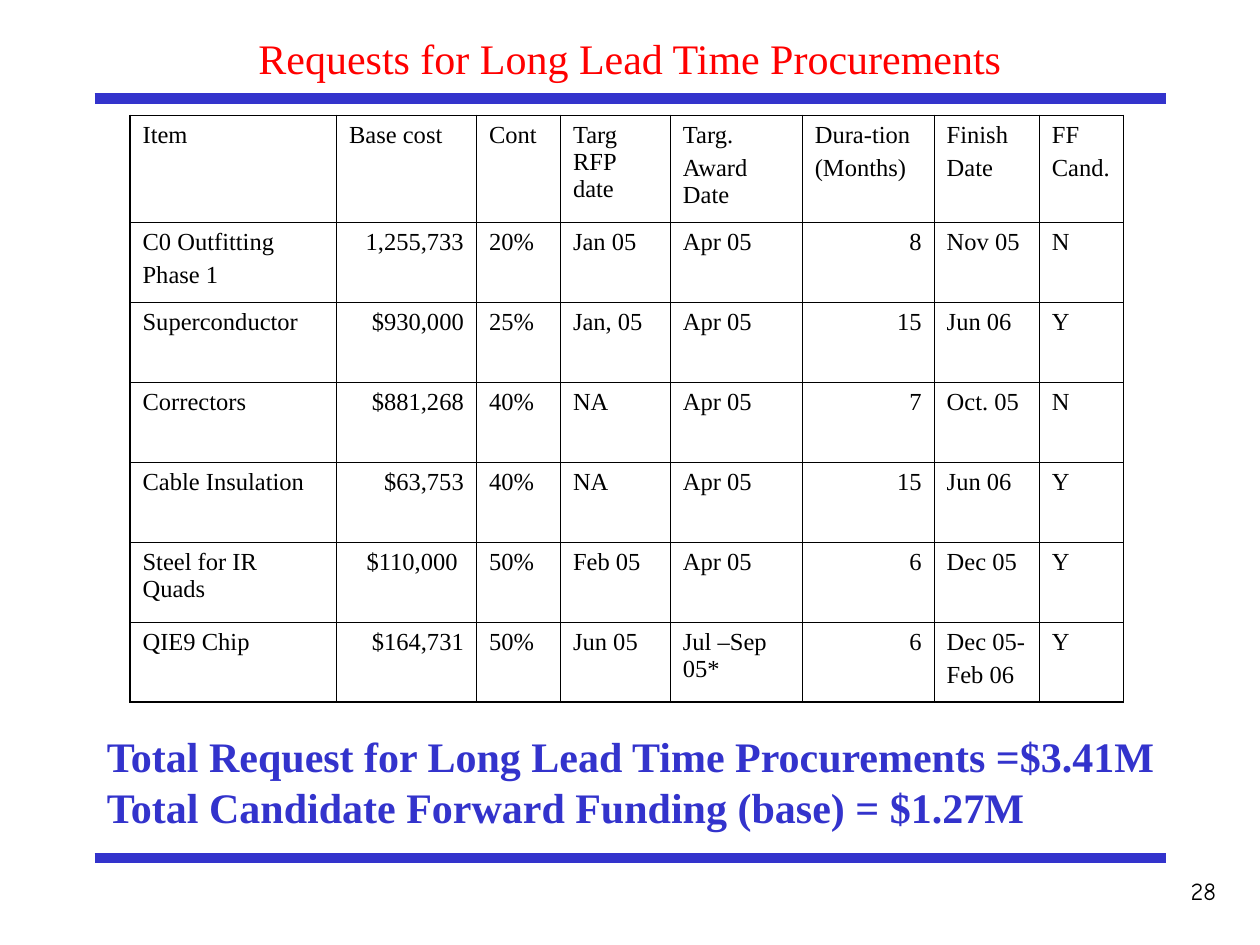
from lxml import etree
from pptx import Presentation
from pptx.dml.color import RGBColor
from pptx.enum import shapes, text
from pptx.oxml import ns
from pptx.util import Pt

COLORS = {"title": "FF0000", "accent": "3333CC", "ink": "000000"}
SERIF = "Times New Roman"
TITLE = "Requests for Long Lead Time Procurements"
HEADER = ["Item", "Base cost", "Cont", "Targ RFP date", "Targ.\nAward Date",
          "Dura-tion\n(Months)", "Finish\nDate", "FF\nCand."]
ITEMS = [
    ["C0 Outfitting\nPhase 1", "1,255,733", "20%", "Jan 05", "Apr 05", "8", "Nov 05", "N"],
    ["Superconductor", "$930,000", "25%", "Jan, 05", "Apr 05", "15", "Jun 06", "Y"],
    ["Correctors", "$881,268", "40%", "NA", "Apr 05", "7", "Oct. 05", "N"],
    ["Cable Insulation", "$63,753", "40%", "NA", "Apr 05", "15", "Jun 06", "Y"],
    ["Steel for IR Quads", "$110,000 ", "50%", "Feb 05", "Apr 05", "6", "Dec 05", "Y"],
    ["QIE9 Chip", "$164,731", "50%", "Jun 05", "Jul –Sep 05*", "6", "Dec 05-\nFeb 06", "Y"],
]
TOTALS = ("Total Request for Long Lead Time Procurements =$3.41M\n"
          "Total Candidate Forward Funding (base) = $1.27M")
PAGE_NUMBER = "28"

COLUMN_WIDTHS = [118, 80, 48, 62.8, 75.4, 75.4, 60.1, 48.1]
HEADER_HEIGHT, ITEM_HEIGHT = 61.1, 45.7
TABLE_LEFT, TABLE_TOP = 74.3, 66
NUMERIC_COLUMNS = (1, 5)
RULE_LEFT, RULE_RIGHT = 54, 666
RULE_TOPS = (56.2, 490.3)
OUTER_LINE, INNER_LINE = 1.08, 0.45

FORMATS = {
    "title": {"size": Pt(24), "name": SERIF, "color": "title", "bold": False},
    "cell": {"size": Pt(14), "name": SERIF, "color": "ink", "bold": False},
    "totals": {"size": Pt(24), "name": SERIF, "color": "accent", "bold": True},
    "number": {"size": Pt(14), "name": "Comic Neue", "color": "ink", "bold": False},
}


def write(frame, content, style, align=text.PP_ALIGN.LEFT, gap=0):
    frame.text = content
    for index, paragraph in enumerate(frame.paragraphs):
        paragraph.alignment = align
        paragraph.space_before = Pt(gap if index else 0)
        for run in paragraph.runs:
            for name, value in FORMATS[style].items():
                if name == "color":
                    run.font.color.rgb = RGBColor.from_string(COLORS[value])
                else:
                    setattr(run.font, name, value)


def add_border(cell, side, width):
    properties = cell._tc.get_or_add_tcPr()
    line = etree.SubElement(properties, ns.qn(f"a:ln{side}"), w=str(Pt(width)))
    fill = etree.SubElement(line, ns.qn("a:solidFill"))
    etree.SubElement(fill, ns.qn("a:srgbClr"), val=COLORS["ink"])


def add_rule(slide, top):
    rule = slide.shapes.add_connector(shapes.MSO_CONNECTOR.STRAIGHT,
                                      Pt(RULE_LEFT), Pt(top), Pt(RULE_RIGHT), Pt(top))
    rule.line.width = Pt(6)
    rule.line.color.rgb = RGBColor.from_string(COLORS["accent"])
    etree.SubElement(rule._element.spPr, ns.qn("a:effectLst"))


def add_title(slide):
    title = slide.shapes.title
    title.left, title.top, title.width, title.height = Pt(54), Pt(12.2), Pt(612), Pt(42)
    title.text_frame.auto_size = text.MSO_AUTO_SIZE.NONE
    title.text_frame.vertical_anchor = text.MSO_ANCHOR.MIDDLE
    write(title.text_frame, TITLE, "title", text.PP_ALIGN.CENTER)


def add_procurement_table(slide):
    rows = [HEADER] + ITEMS
    heights = [HEADER_HEIGHT] + [ITEM_HEIGHT] * len(ITEMS)
    table = slide.shapes.add_table(len(rows), len(HEADER), Pt(TABLE_LEFT), Pt(TABLE_TOP),
                                   Pt(sum(COLUMN_WIDTHS)), Pt(sum(heights))).table
    table.first_row = table.horz_banding = False
    for column, width in zip(table.columns, COLUMN_WIDTHS):
        column.width = Pt(width)
    for r, (values, height) in enumerate(zip(rows, heights)):
        table.rows[r].height = Pt(height)
        for c, value in enumerate(values):
            cell = table.cell(r, c)
            numeric = r > 0 and c in NUMERIC_COLUMNS
            align = text.PP_ALIGN.RIGHT if numeric else text.PP_ALIGN.LEFT
            write(cell.text_frame, value, "cell", align, 3.5)
            outer = {"L": c == 0, "R": c == len(HEADER) - 1,
                     "T": r == 0, "B": r == len(rows) - 1}
            for side, is_outer in outer.items():
                add_border(cell, side, OUTER_LINE if is_outer else INNER_LINE)
            cell.fill.background()


def add_text_box(slide, bounds, content, style, align, wrap):
    box = slide.shapes.add_textbox(*map(Pt, bounds))
    box.text_frame.word_wrap = wrap
    write(box.text_frame, content, style, align)


def main():
    presentation = Presentation()
    presentation.slide_width, presentation.slide_height = Pt(720), Pt(540)
    slide = presentation.slides.add_slide(presentation.slide_layouts[5])
    for top in RULE_TOPS:
        add_rule(slide, top)
    add_title(slide)
    add_procurement_table(slide)
    add_text_box(slide, (54, 414, 617, 65), TOTALS, "totals", text.PP_ALIGN.LEFT, False)
    add_text_box(slide, (624, 497, 78, 36), PAGE_NUMBER, "number", text.PP_ALIGN.RIGHT, True)
    presentation.save("out.pptx")


if __name__ == "__main__":
    main()
